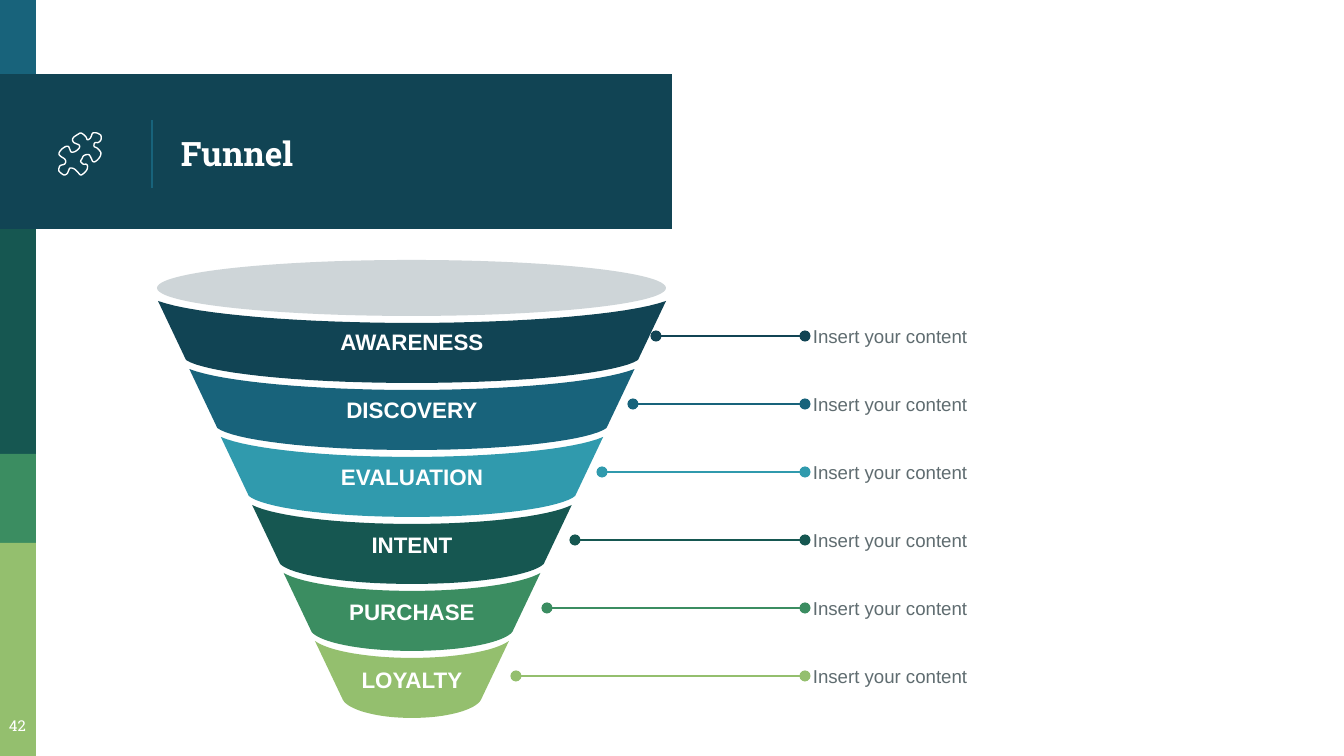
from pptx import Presentation
from pptx import util as u
from pptx.dml.color import RGBColor
from pptx.enum import shapes, text
from pptx.oxml.ns import qn
from lxml import etree

SCALE = 914400 / 134.4  # EMU per px
W, H = 1344, 756
WHITE, GREY, RIM = "FFFFFF", "5F6C70", "CED5D8"
NAVY, BLUE, TEAL, PINE, GREEN, LIME = COLORS = (
    "114454", "18637B", "309AAD", "165751", "3B8D61", "94BF6E")
LABELS = ("AWARENESS", "DISCOVERY", "EVALUATION", "INTENT", "PURCHASE", "LOYALTY")
LEADER_STARTS = (656, 633, 602, 575, 547, 516)
PITCH = 68  # distance between funnel stages

# Puzzle piece outline on a 31 x 31 grid
PUZZLE = (
    (27, 7), (29, 7), (31, 5), (31, 2), (30, 1), (28, 0), (25, 0), (24, 2),
    (23, 4), (21, 5), (20, 3), (18, 1), (16, 0), (14, 1), (11, 3), (10, 5),
    (11, 7), (13, 8), (15, 9), (15, 11), (13, 13), (11, 14), (9, 14), (8, 12),
    (7, 10), (5, 10), (2, 12), (0, 15), (1, 17), (4, 19), (5, 21), (4, 23),
    (1, 24), (0, 26), (0, 28), (2, 30), (4, 31), (6, 30), (7, 28), (8, 26),
    (10, 26), (12, 27), (14, 29), (16, 31), (18, 30), (20, 28), (21, 26),
    (21, 24), (20, 23), (18, 23), (16, 21), (17, 19), (18, 17), (20, 16),
    (22, 16), (23, 17), (24, 19), (25, 21), (27, 21), (30, 18), (31, 15),
    (30, 13), (28, 11), (26, 10), (26, 8))


def px(n):
    return u.Emu(round(n * SCALE))


def rgb(value):
    return RGBColor.from_string(value)


def paint(sp, fill=None, line=None):
    sp.shadow.inherit = False
    if fill:
        sp.fill.solid()
        sp.fill.fore_color.rgb = rgb(fill)
    else:
        sp.fill.background()
    if line:
        sp.line.color.rgb = rgb(line)
        sp.line.width = u.Pt(0.75)
    else:
        sp.line.fill.background()


def write(sp, words, size, color, font="Arial", bold=False, center=False,
          middle=True, inset=0):
    tf = sp.text_frame
    tf.word_wrap = True
    tf.margin_left = tf.margin_right = tf.margin_top = tf.margin_bottom = px(inset)
    tf.vertical_anchor = text.MSO_ANCHOR.MIDDLE if middle else text.MSO_ANCHOR.TOP
    p = tf.paragraphs[0]
    p.alignment = text.PP_ALIGN.CENTER if center else text.PP_ALIGN.LEFT
    r = p.add_run()
    r.text = words
    r.font.size, r.font.name, r.font.bold = u.Pt(size), font, bold
    r.font.color.rgb = rgb(color)


def add_shape(s, kind, x, y, w, h, fill):
    sp = s.shapes.add_shape(kind, px(x), px(y), px(w), px(h))
    paint(sp, fill)


def add_text(s, x, y, w, h, *args, **style):
    write(s.shapes.add_textbox(px(x), px(y), px(w), px(h)), *args, **style)


def add_outline(s, points):
    first, *rest = [(px(x), px(y)) for x, y in points]
    builder = s.shapes.build_freeform(*first)
    builder.add_line_segments(rest, close=True)
    return builder.convert_to_shape()


def add_line(s, x1, y1, x2, y2, color, dots=False):
    line = s.shapes.add_connector(
        shapes.MSO_CONNECTOR.STRAIGHT, px(x1), px(y1), px(x2), px(y2))
    line.line.color.rgb = rgb(color)
    line.line.width = u.Pt(0.75)
    if dots:
        for end in ("a:headEnd", "a:tailEnd"):
            etree.SubElement(line.line._get_or_add_ln(), qn(end), type="oval")
    etree.SubElement(line._element.spPr, qn("a:effectLst"))


def bow(cx, half, y, depth, c1, c2, steps=16):
    """Left-to-right sagging curve: a Bezier half and its mirror image."""
    right = []
    for i in range(steps + 1):
        t = i / steps
        a, b, c, d = (1 - t) ** 3, 3 * t * (1 - t) ** 2, 3 * t * t * (1 - t), t ** 3
        right.append((half * (a + b * c1[0] + c * c2),
                      y + depth * (b * c1[1] + c + d)))
    return ([(cx - dx, cy) for dx, cy in right]
            + [(cx + dx, cy) for dx, cy in right[-2::-1]])


def smooth(points, steps=4):
    """Closed Catmull-Rom curve through the points."""
    n, curve = len(points), []
    for i in range(n):
        quad = [points[(i + k) % n] for k in (-1, 0, 1, 2)]
        for t in (k / steps for k in range(steps)):
            curve.append(tuple(
                (2 * b + (c - a) * t + (2 * a - 5 * b + 4 * c - d) * t ** 2
                 + (3 * b - a - 3 * c + d) * t ** 3) / 2
                for a, b, c, d in zip(*quad)))
    return curve


def side_strip(s, x, y, w):
    for top, bottom, color in ((0, 78, BLUE), (229, 454, PINE),
                               (454, 543, GREEN), (543, H, LIME)):
        add_shape(s, shapes.MSO_SHAPE.RECTANGLE, x, y + top, w, bottom - top, color)
    add_text(s, x - 8, y + 708, w + 15, 47, "42", 8, WHITE, "Roboto Slab",
             center=True, middle=False, inset=13)


def title_band(s, x, y, w, h):
    add_shape(s, shapes.MSO_SHAPE.RECTANGLE, x, y, w, h, NAVY)
    add_line(s, x + 152, y + 46, x + 152, y + 114, BLUE)
    add_text(s, x + 168, y + 4, 472, 151, "Funnel", 18, WHITE, "Roboto Slab",
             bold=True, inset=13)
    # Puzzle icon
    unit = 42 / 31
    icon = add_outline(s, [(x + 59 + gx * unit, y + 59 + gy * unit)
                           for gx, gy in smooth(PUZZLE)])
    paint(icon, line=WHITE)


def funnel(s, x, y, w):
    cx = x + w / 2
    for i, (label, color) in enumerate(zip(LABELS, COLORS)):
        half = w / 2 - 31.4 * i
        top = y + 41 + PITCH * i
        corner = top + 59
        dip, bottom = y + 63 + 67 * i, y + 123 + 67 * i
        upper = bow(cx, half, top, dip - top, (0.85, 0.63), 0.42)
        lower = bow(cx, half - 28, corner, bottom - corner, (0.92, 0.53), 0.53)
        stage = add_outline(s, upper + lower[::-1])
        paint(stage, color)
        write(stage, label, 12, WHITE, bold=True, center=True, inset=5)
    add_shape(s, shapes.MSO_SHAPE.OVAL, x - 1, y, w + 1, 56, RIM)


def callouts(s, x, y, w):
    for i, (start, color) in enumerate(zip(LEADER_STARTS, COLORS)):
        mid = y + PITCH * i
        add_line(s, start, mid, x - 8, mid, color, dots=True)
        add_text(s, x, mid - 24, w, 48, "Insert your content", 10, GREY)


def main():
    prs = Presentation()
    prs.slide_width, prs.slide_height = px(W), px(H)
    s = prs.slides.add_slide(prs.slide_layouts[6])
    side_strip(s, 0, 0, 36)
    title_band(s, 0, 74, 672, 155)
    funnel(s, 158, 260, 508)
    callouts(s, 813, 336, 394)
    prs.save("out.pptx")


if __name__ == "__main__":
    main()
